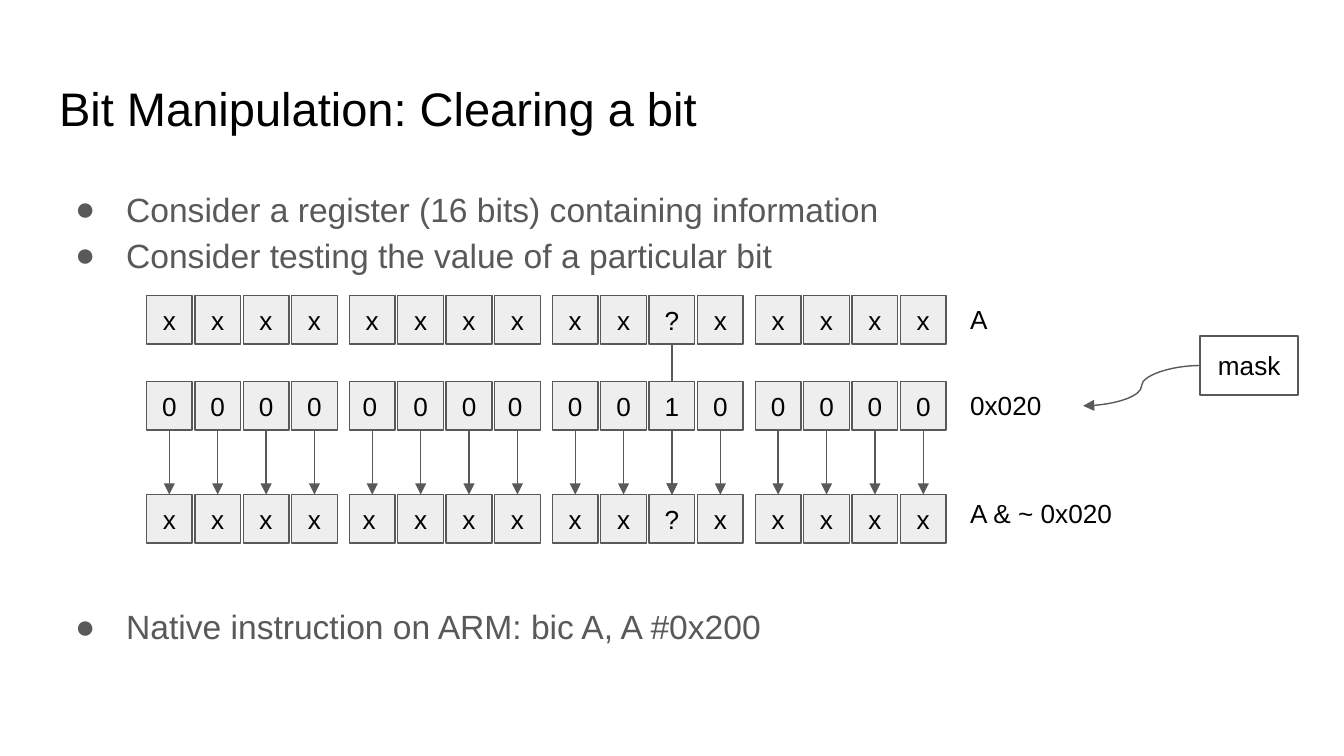
from lxml.etree import SubElement
from pptx import Presentation
from pptx.dml.color import RGBColor
from pptx.enum.shapes import MSO_CONNECTOR, MSO_SHAPE
from pptx.enum.text import MSO_ANCHOR, PP_ALIGN
from pptx.oxml.ns import qn
from pptx.util import Inches, Pt

FONT = "Arial"
BLACK, GREY, CELL = "000000", "595959", "EEEEEE"
ROW_LEFT, CELL_W, CELL_H = 1.09, 0.34, 0.36
BIT_STEP, NIBBLE_STEP = 0.36, 1.51


def rgb(value):
    return RGBColor.from_string(value)


def set_frame(tf, anchor=MSO_ANCHOR.TOP):
    tf.word_wrap = True
    tf.vertical_anchor = anchor
    tf.margin_left = tf.margin_right = Inches(0.1)
    tf.margin_top = tf.margin_bottom = Inches(0.1)


def add_run(p, text, size, color=BLACK):
    r = p.add_run()
    r.text = text
    r.font.name, r.font.size = FONT, Pt(size)
    r.font.color.rgb = rgb(color)


def set_title(s, text):
    sp = s.shapes.title
    sp.left, sp.top = Inches(0.34), Inches(0.49)
    sp.width, sp.height = Inches(9.32), Inches(0.63)
    set_frame(sp.text_frame)
    p = sp.text_frame.paragraphs[0]
    p.alignment = PP_ALIGN.LEFT
    add_run(p, text, 25.2)


def add_text(s, x, y, w, h):
    sp = s.shapes.add_textbox(Inches(x), Inches(y), Inches(w), Inches(h))
    set_frame(sp.text_frame)
    return sp.text_frame


def add_bullets(s, items):
    tf = add_text(s, 0.34, 1.26, 9.32, 3.74)
    for i, (text, gap) in enumerate(items):
        p = tf.add_paragraph() if i else tf.paragraphs[0]
        p.line_spacing, p.space_before = 1.15, Pt(gap)
        pPr = p._p.get_or_add_pPr()
        pPr.set("marL", str(Inches(0.5)))
        pPr.set("indent", str(Inches(-0.38)))
        color = SubElement(pPr, qn("a:buClr"))
        SubElement(color, qn("a:srgbClr"), val=GREY)
        SubElement(pPr, qn("a:buFont"), typeface=FONT)
        SubElement(pPr, qn("a:buChar"), char="●")
        add_run(p, text, 18, GREY)


def add_box(s, x, y, w, h, text, fill=None, align=PP_ALIGN.CENTER):
    sp = s.shapes.add_shape(MSO_SHAPE.RECTANGLE, Inches(x), Inches(y), Inches(w), Inches(h))
    sp.shadow.inherit = False
    if fill:
        sp.fill.solid()
        sp.fill.fore_color.rgb = rgb(fill)
    else:
        sp.fill.background()
    sp.line.color.rgb, sp.line.width = rgb(GREY), Pt(0.75)
    set_frame(sp.text_frame, MSO_ANCHOR.MIDDLE)
    p = sp.text_frame.paragraphs[0]
    p.alignment = align
    add_run(p, text, 14)
    return sp


def add_register(s, y, bits, left_aligned=()):
    cells = []
    for i, bit in enumerate(bits):
        x = ROW_LEFT + i // 4 * NIBBLE_STEP + i % 4 * BIT_STEP
        align = PP_ALIGN.LEFT if i in left_aligned else PP_ALIGN.CENTER
        cells.append(add_box(s, x, y, CELL_W, CELL_H, bit, CELL, align))
    return cells


def add_arrow(s, x1, y1, x2, y2, kind=MSO_CONNECTOR.STRAIGHT):
    c = s.shapes.add_connector(kind, x1, y1, x2, y2)
    c.line.color.rgb, c.line.width = rgb(GREY), Pt(0.75)
    SubElement(c.line._get_or_add_ln(), qn("a:tailEnd"), type="triangle")
    SubElement(c._element.spPr, qn("a:effectLst"))
    return c


def add_drop(s, source, target):
    c = add_arrow(s, 0, 0, 0, 0)
    c.begin_connect(source, 2)
    c.end_connect(target, 0)


def main():
    prs = Presentation()
    prs.slide_width = Inches(10)
    prs.slide_height = prs.slide_width * 9 // 16
    s = prs.slides.add_slide(prs.slide_layouts[5])

    # Title and bullets; the last bullet stands below the diagram
    set_title(s, "Bit Manipulation: Clearing a bit")
    add_bullets(s, [
        ("Consider a register (16 bits) containing information", 0),
        ("Consider testing the value of a particular bit", 0),
        ("Native instruction on ARM: bic A, A #0x200", 174),
    ])

    # Registers: the arrow from the tested bit runs behind the mask row
    value = add_register(s, 2.2, "xxxxxxxxxx?xxxxx")
    result = add_register(s, 3.68, "xxxxxxxxxx?xxxxx", left_aligned=(4,))
    add_drop(s, value[10], result[10])
    mask = add_register(s, 2.84, "0000000000100000", left_aligned=(4, 7))
    for source, target in zip(mask, result):
        add_drop(s, source, target)

    # Row labels
    for text, y, w in (("A", 2.16, 0.37), ("0x020", 2.8, 0.94), ("A & ~ 0x020", 3.6, 1.42)):
        add_run(add_text(s, 7.12, y, w, 0.44).paragraphs[0], text, 14)

    # Mask callout
    callout = add_box(s, 8.93, 2.5, 0.73, 0.44, "mask")
    c = add_arrow(s, Inches(8.93), Inches(2.72), Inches(8.06), Inches(3.02), MSO_CONNECTOR.CURVE)
    c.begin_connect(callout, 1)

    prs.save("out.pptx")


if __name__ == "__main__":
    main()
